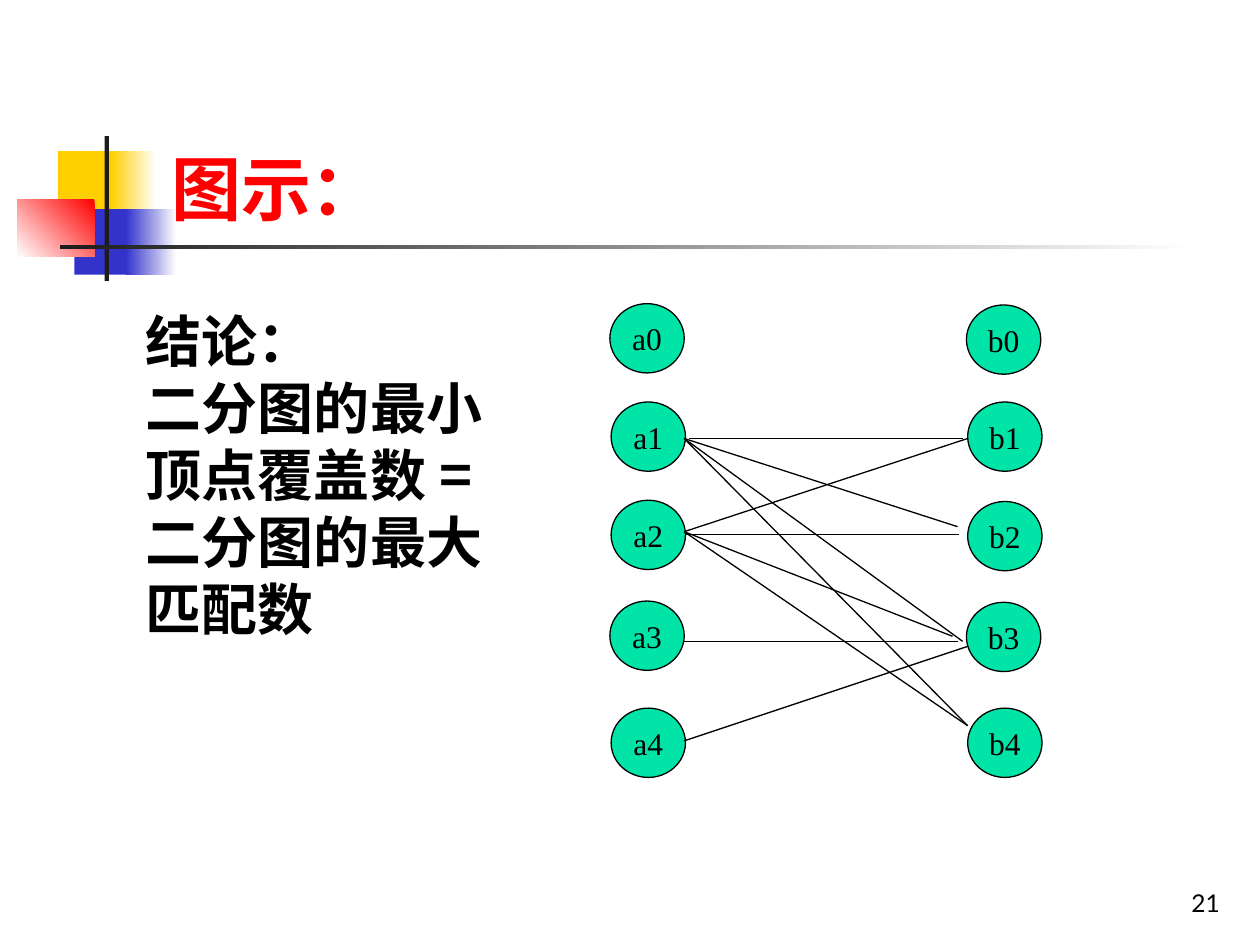
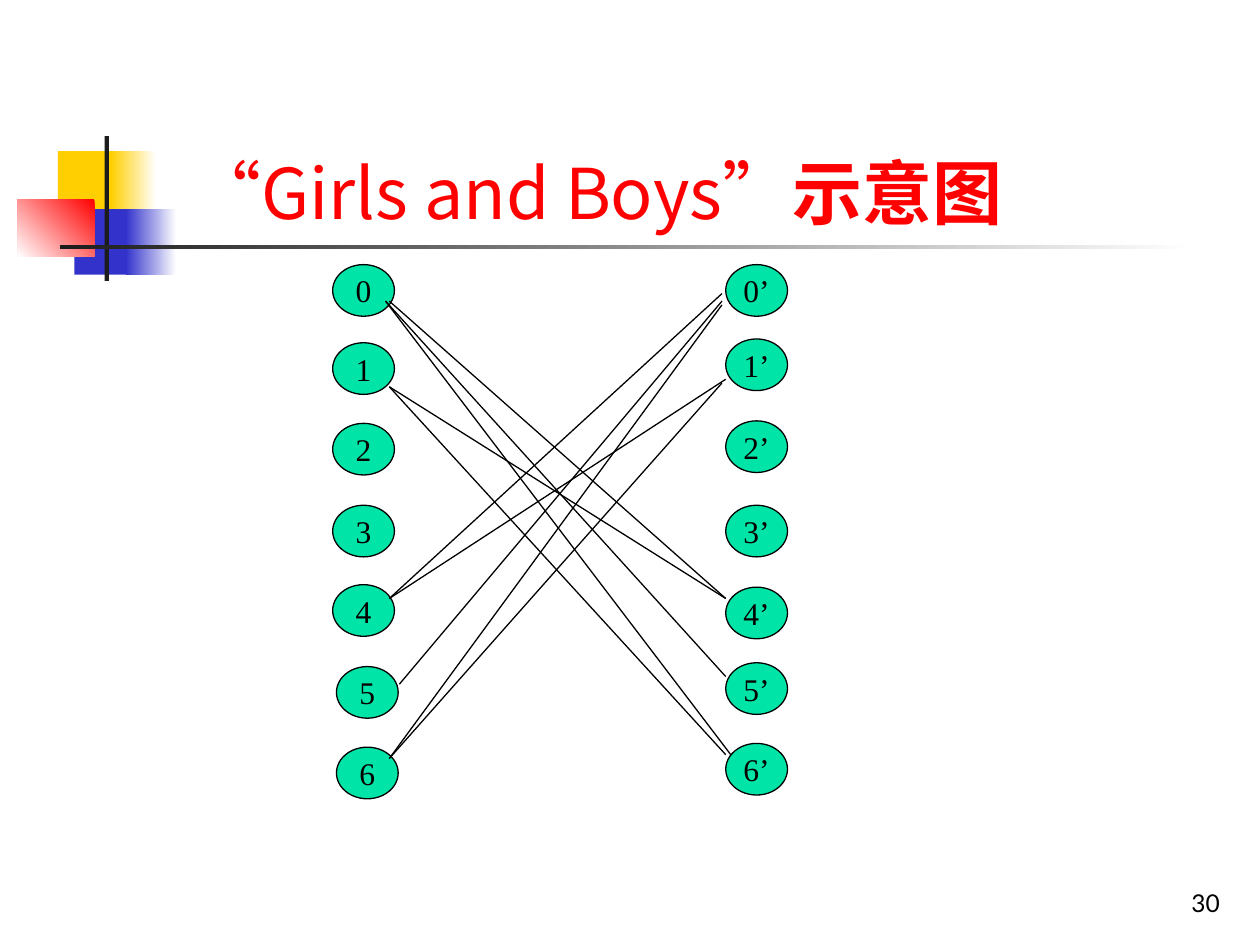
from dataclasses import dataclass

from pptx import Presentation
from pptx import util as u
from pptx.dml.color import RGBColor
from pptx.enum import shapes, text
from pptx.oxml import ns
from lxml import etree

COLUMNS, ROWS = 100, 75


@dataclass(frozen=True)
class Theme:
    ink: str = "000000"
    paper: str = "FFFFFF"
    rule: str = "1C1C1C"
    yellow: str = "FFCF01"
    blue: str = "3333CC"
    red: str = "FF0000"
    vertex: str = "00E4A8"
    han: str = "Noto Sans CJK SC"
    latin_title: str = "Noto Sans CJK KR"
    sans: str = "Lato"
    serif: str = "Times New Roman"
    title_size: float = 40
    body_size: float = 32
    body_leading: float = 38.4
    vertex_size: float = 18
    number_size: float = 14
    outline: float = 0.75


THEME = Theme()


@dataclass(frozen=True)
class Box:
    x: float
    y: float
    w: float
    h: float

    def inside(self, x, y, w, h):
        return Box(self.x + x, self.y + y, w, h)

    def point(self, x, y):
        return across(self.x + x), down(self.y + y)

    def lengths(self):
        return across(self.x), down(self.y), across(self.w), down(self.h)


def across(columns):
    return u.Inches(10 * columns / COLUMNS)


def down(rows):
    return u.Inches(7.5 * rows / ROWS)


def rgb(colour):
    return RGBColor.from_string(colour)


def add_run(paragraph, words, size, face, colour=THEME.ink, bold=False):
    run = paragraph.add_run()
    run.text = words
    run.font.size = u.Pt(size)
    run.font.name = face
    run.font.bold = bold
    run.font.color.rgb = rgb(colour)
    return run


def add_han_run(paragraph, words, size, face, colour, bold):
    run = add_run(paragraph, words, size, face, colour, bold)
    properties = run.font._element
    properties.set("lang", "zh-CN")
    east_asian = etree.SubElement(properties, ns.qn("a:ea"))
    east_asian.set("typeface", THEME.han)


def add_text_frame(slide, box, anchor):
    frame = slide.shapes.add_textbox(*box.lengths()).text_frame
    frame.word_wrap = True
    frame.vertical_anchor = anchor
    return frame


def add_block(slide, box, colour, fade=None, angle=180):
    block = slide.shapes.add_shape(shapes.MSO_SHAPE.RECTANGLE, *box.lengths())
    block.shadow.inherit = False
    block.line.fill.background()
    if fade is None:
        block.fill.solid()
        block.fill.fore_color.rgb = rgb(colour)
        return
    block.fill.gradient()
    block.fill.gradient_angle = angle
    for stop, shade in zip(block.fill.gradient_stops, (fade, colour)):
        stop.color.rgb = rgb(shade)


def add_emblem(slide, box):
    add_block(slide, box.inside(3.2, 1.2, 4.8, 5.2), THEME.yellow)
    add_block(slide, box.inside(7.4, 1.2, 3.6, 5.2), THEME.yellow, THEME.paper)
    add_block(slide, box.inside(4.5, 5.8, 4.6, 5.2), THEME.blue)
    add_block(slide, box.inside(8.6, 5.8, 4, 5.2), THEME.blue, THEME.paper)
    add_block(slide, box.inside(0, 5, 6.1, 4.6), THEME.paper, THEME.red, 225)
    add_block(slide, box.inside(6.9, 0, 0.35, 11.5), THEME.rule)
    add_block(slide, box.inside(3.4, 8.65, 90, 0.35), THEME.rule, THEME.paper)


def add_title(slide, box, parts):
    frame = add_text_frame(slide, box, text.MSO_ANCHOR.BOTTOM)
    frame.margin_bottom = u.Inches(0.01)
    for words, face, bold in parts:
        add_han_run(frame.paragraphs[0], words, THEME.title_size, face, THEME.red, bold)


def add_number(slide, box, number):
    frame = add_text_frame(slide, box, text.MSO_ANCHOR.BOTTOM)
    paragraph = frame.paragraphs[0]
    paragraph.alignment = text.PP_ALIGN.RIGHT
    add_run(paragraph, number, THEME.number_size, THEME.sans)


def add_conclusion(slide, box, statements):
    frame = add_text_frame(slide, box, text.MSO_ANCHOR.TOP)
    for index, statement in enumerate(statements):
        paragraph = frame.add_paragraph() if index else frame.paragraphs[0]
        paragraph.line_spacing = u.Pt(THEME.body_leading)
        add_han_run(paragraph, statement, THEME.body_size, THEME.han, THEME.ink, True)


def add_vertex(slide, box, label):
    vertex = slide.shapes.add_shape(shapes.MSO_SHAPE.OVAL, *box.lengths())
    vertex.shadow.inherit = False
    vertex.fill.solid()
    vertex.fill.fore_color.rgb = rgb(THEME.vertex)
    vertex.line.color.rgb = rgb(THEME.ink)
    vertex.line.width = u.Pt(THEME.outline)
    frame = vertex.text_frame
    frame.word_wrap = False
    frame.vertical_anchor = text.MSO_ANCHOR.MIDDLE
    paragraph = frame.paragraphs[0]
    paragraph.alignment = text.PP_ALIGN.CENTER
    add_run(paragraph, label, THEME.vertex_size, THEME.serif)


def add_edge(slide, box, start, end):
    edge = slide.shapes.add_connector(
        shapes.MSO_CONNECTOR.STRAIGHT, *box.point(*start), *box.point(*end))
    edge.line.color.rgb = rgb(THEME.ink)
    edge.line.width = u.Pt(THEME.outline)
    etree.SubElement(edge._element.spPr, ns.qn("a:effectLst"))


def add_bipartite_graph(slide, box, vertex_size, sides, edges):
    for label, places in sides:
        for index, place in enumerate(places):
            add_vertex(slide, box.inside(*place, *vertex_size), label.format(index))
    for start, ends in edges.items():
        for end in ends:
            add_edge(slide, box, start, end)


def start_slide(deck, title_box, title, number):
    slide = deck.slides.add_slide(deck.slide_layouts[6])
    add_emblem(slide, Box(1.4, 10.8, 93.4, 11.5))
    add_title(slide, title_box, title)
    add_number(slide, Box(77, 68.3, 20.8, 5), number)
    return slide


def build_cover_slide(deck):
    slide = start_slide(deck, Box(12.6, 6.4, 23.6, 11.9),
                        [("图示：", THEME.han, True)], "21")
    add_conclusion(slide, Box(10.6, 23.8, 31.9, 27.7),
                   ["结论：", "二分图的最小顶点覆盖数 =", "二分图的最大匹配数"])
    sides = [
        ("a{}", [(0, 0), (0.1, 7.8), (0.1, 15.6), (0, 23.6), (0.1, 32.1)]),
        ("b{}", [(28.3, 0.1), (28.4, 7.8), (28.4, 15.7), (28.3, 23.7), (28.4, 32.1)]),
    ]
    edges = {
        (6.3, 10.7): [(28, 10.7)],
        (5.9, 10.7): [(27.6, 17.7), (28, 26.8), (28.4, 33.5)],
        (6, 18.3): [(27.7, 18.3)],
        (5.9, 18.1): [(28.4, 10.7), (27.2, 26.4), (28.4, 33.5)],
        (5.9, 26.8): [(27.6, 26.8)],
        (5.9, 34.7): [(28.4, 27.2)],
    }
    add_bipartite_graph(slide, Box(48.4, 24.1, 34.3, 37.6), (5.9, 5.5), sides, edges)


def build_pairs_slide(deck):
    title = [("“Girls and Boys”", THEME.latin_title, False), ("示意图", THEME.sans, True)]
    slide = start_slide(deck, Box(14.2, 8.4, 72.1, 10.2), title, "30")
    girl_rows = [0, 6.2, 12.6, 19.1, 25.4, 31.9, 38.3]
    boy_rows = [0, 5.9, 12.4, 19.1, 25.6, 31.6, 38]
    sides = [
        ("{}", [(0.3 if index > 4 else 0, row) for index, row in enumerate(girl_rows)]),
        ("{}’", [(31.2, row) for row in boy_rows]),
    ]
    edges = {
        (4.5, 2.9): [(31.2, 26.5)],
        (4.2, 2.9): [(31.2, 32.7), (31.6, 38.9)],
        (4.5, 9.7): [(31.2, 26.5), (31.2, 38.9)],
        (4.5, 26.5): [(30.9, 2.3), (31.2, 9.1)],
        (5.3, 33.3): [(30.9, 2.9)],
        (4.5, 39.2): [(30.9, 3.2), (30.9, 9.4)],
    }
    add_bipartite_graph(slide, Box(26.4, 21, 36.1, 42.4), (4.9, 4.1), sides, edges)


def main():
    deck = Presentation()
    deck.slide_width = across(COLUMNS)
    deck.slide_height = down(ROWS)
    build_cover_slide(deck)
    build_pairs_slide(deck)
    deck.save("out.pptx")


if __name__ == "__main__":
    main()
